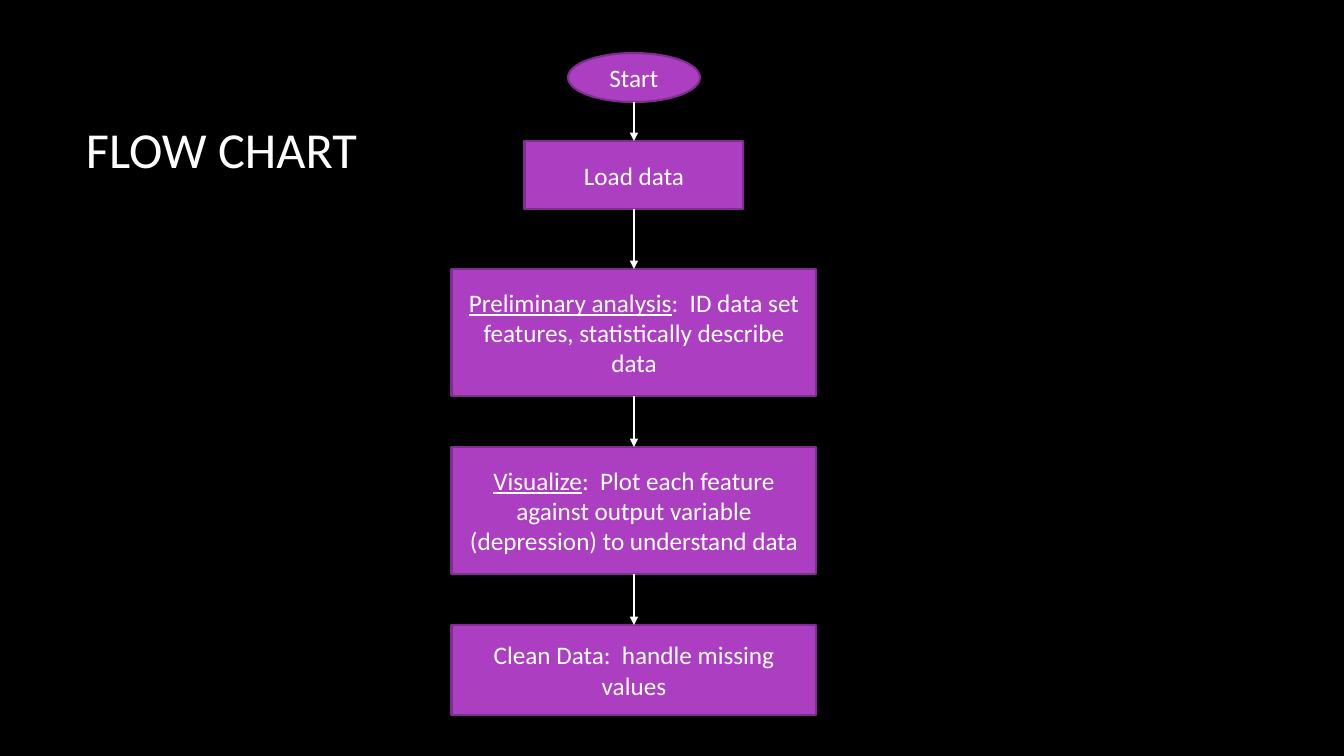
import pptx
import pptx.dml.color
import pptx.enum.shapes
import pptx.enum.text
import pptx.oxml.ns
import pptx.util
import lxml.etree

# Colours
BLACK = pptx.dml.color.RGBColor(0x00, 0x00, 0x00)
WHITE = pptx.dml.color.RGBColor(0xFF, 0xFF, 0xFF)
PURPLE = pptx.dml.color.RGBColor(0xAC, 0x3E, 0xC1)
DARK_PURPLE = pptx.dml.color.RGBColor(0x7F, 0x2E, 0x8F)

EMU_PER_PIXEL = 914400 / 100.8
FONT = "Calibri"
LINE_WIDTH = pptx.util.Pt(1.5)
FLOW_CENTER = 634

OVAL = pptx.enum.shapes.MSO_SHAPE.OVAL
RECTANGLE = pptx.enum.shapes.MSO_SHAPE.RECTANGLE
LEFT = pptx.enum.text.PP_ALIGN.LEFT
CENTER = pptx.enum.text.PP_ALIGN.CENTER

# Steps from top to bottom: shape, top, width, height, underlined lead, text
STEPS = [
    (OVAL, 53, 132, 49, "", "Start"),
    (RECTANGLE, 141, 219, 68, "", "Load data"),
    (RECTANGLE, 269, 365, 127, "Preliminary analysis",
     ":  ID data set features, statistically describe data"),
    (RECTANGLE, 447, 365, 127, "Visualize",
     ":  Plot each feature against output variable (depression) to understand data"),
    (RECTANGLE, 625, 365, 90, "", "Clean Data:  handle missing values"),
]


def emu(*pixels):
    return [round(pixel * EMU_PER_PIXEL) for pixel in pixels]


def write_text(shape, text, lead="", size=18, color=WHITE, align=CENTER):
    """Fill a shape with text; an optional lead is underlined."""
    frame = shape.text_frame
    frame.word_wrap = True
    frame.vertical_anchor = pptx.enum.text.MSO_ANCHOR.MIDDLE
    paragraph = frame.paragraphs[0]
    paragraph.alignment = align
    for words, underline in ((lead, True), (text, False)):
        if words:
            run = paragraph.add_run()
            run.text = words
            run.font.name = FONT
            run.font.size = pptx.util.Pt(size)
            run.font.color.rgb = color
            run.font.underline = underline


def add_title(slide, text):
    title = slide.shapes.add_textbox(*emu(76, 68, 1117, 160))
    write_text(title, text, size=36, align=LEFT)


def add_step(slide, kind, top, width, height, lead, text):
    shape = slide.shapes.add_shape(
        kind, *emu(FLOW_CENTER - width / 2, top, width, height))
    shape.shadow.inherit = False
    shape.fill.solid()
    shape.fill.fore_color.rgb = PURPLE
    shape.line.color.rgb = DARK_PURPLE
    shape.line.width = LINE_WIDTH
    write_text(shape, text, lead=lead)


def add_arrow(slide, top, bottom):
    arrow = slide.shapes.add_connector(
        pptx.enum.shapes.MSO_CONNECTOR.STRAIGHT,
        *emu(FLOW_CENTER, top, FLOW_CENTER, bottom))
    arrow.line.color.rgb = WHITE
    arrow.line.width = LINE_WIDTH
    qualified = pptx.oxml.ns.qn
    lxml.etree.SubElement(
        arrow.line._get_or_add_ln(), qualified("a:tailEnd"), type="triangle")
    lxml.etree.SubElement(arrow._element.spPr, qualified("a:effectLst"))


def main():
    presentation = pptx.Presentation()
    presentation.slide_width, presentation.slide_height = emu(1344, 756)
    slide = presentation.slides.add_slide(presentation.slide_layouts[6])
    slide.background.fill.solid()
    slide.background.fill.fore_color.rgb = BLACK

    add_title(slide, "FLOW CHART")

    # Flow chart steps
    for step in STEPS:
        add_step(slide, *step)

    # Arrows from the bottom of each step to the top of the next
    for (_, top, _, height, *_), (_, next_top, *_) in zip(STEPS, STEPS[1:]):
        add_arrow(slide, top + height, next_top)

    presentation.save("out.pptx")


main()
